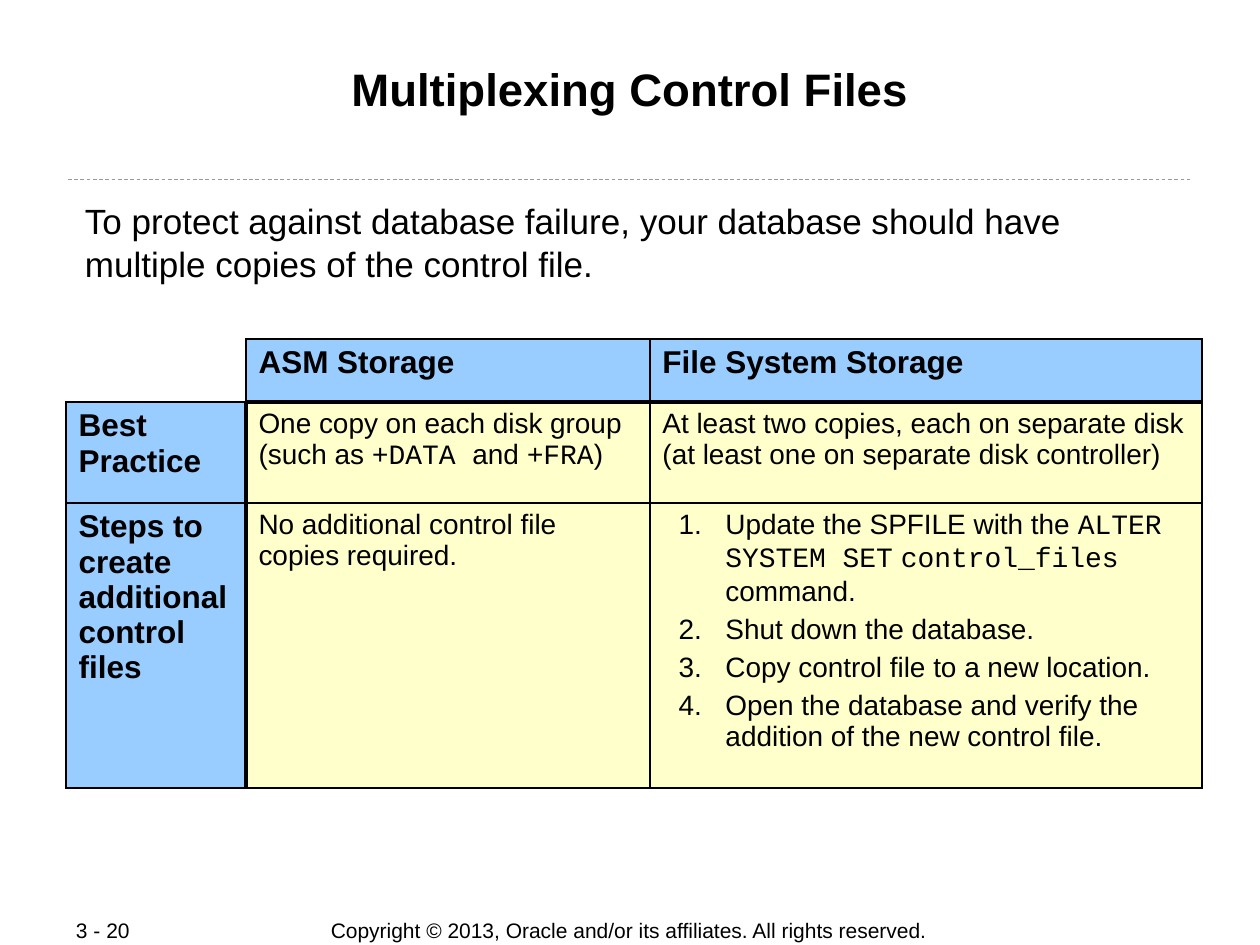
import pptx
import pptx.dml.color
import pptx.enum.dml
import pptx.enum.shapes
import pptx.enum.text
import pptx.oxml
import pptx.oxml.ns
import pptx.util

RGB = pptx.dml.color.RGBColor
ALIGN = pptx.enum.text.PP_ALIGN
ANCHOR = pptx.enum.text.MSO_ANCHOR

BLACK = RGB(0x00, 0x00, 0x00)
GRAY = RGB(0x99, 0x99, 0x99)
BLUE = RGB(0x99, 0xCC, 0xFF)
CREAM = RGB(0xFF, 0xFF, 0xCC)

SCALE = 914400 // 126  # EMU in one px
SANS, MONO = "Arial", "Courier New"
THIN, THICK = 1.08, 2.21

TITLE = "Multiplexing Control Files"
INTRO = ("To protect against database failure, your database should have "
         "multiple copies of the control file.")
NOTICE = "Copyright © 2013, Oracle and/or its affiliates. All rights reserved."
PAGE = "3 - 20"

# A cell is a list of paragraphs; a paragraph is a list of (text, font) runs.
STEPS = [
    [("Update the SPFILE with the ", SANS), ("ALTER SYSTEM SET", MONO),
     (" ", SANS), ("control_files", MONO), (" command.", SANS)],
    [("Shut down the database.", SANS)],
    [("Copy control file to a new location.", SANS)],
    [("Open the database and verify the addition of the new control file.", SANS)],
]
ROWS = [
    ["", "ASM Storage", "File System Storage"],
    ["Best Practice",
     [[("One copy on each disk group (such as ", SANS), ("+DATA ", MONO),
       ("and ", SANS), ("+FRA", MONO), (")", SANS)]],
     "At least two copies, each on separate disk "
     "(at least one on separate disk controller)"],
    ["Steps to create additional control files",
     "No additional control file copies required.",
     [[(f"{num}.\t", SANS)] + step for num, step in enumerate(STEPS, 1)]],
]
WIDTHS = (180, 404, 552)
HEIGHTS = (63, 101, 285)


def px(*nums):
    return [pptx.util.Emu(num * SCALE) for num in nums]


def fill_text(frame, body, size, bold=False, align=ALIGN.LEFT):
    paras = [[(body, SANS)]] if isinstance(body, str) else body
    for pos, runs in enumerate(paras):
        para = frame.add_paragraph() if pos else frame.paragraphs[0]
        para.alignment = align
        para.space_before = pptx.util.Pt(4 if pos else 0)
        if len(paras) > 1:
            hang(para)
        for text, face in runs:
            run = para.add_run()
            run.text = text
            look = {"name": face, "size": pptx.util.Pt(size), "bold": bold}
            for key, val in look.items():
                setattr(run.font, key, val)
            run.font.color.rgb = BLACK


def hang(para):
    """Indent a numbered step and let its tab stop at the text edge."""
    props = para._p.get_or_add_pPr()
    left, back = px(63, -47)
    props.set("marL", str(left))
    props.set("indent", str(back))
    space = pptx.oxml.ns.nsdecls("a")
    props.append(pptx.oxml.parse_xml(
        f'<a:tabLst {space}><a:tab pos="0" algn="l"/></a:tabLst>'))


def set_frame(frame, inset, wrap, anchor):
    side, edge = px(*inset)
    form = {"margin_left": side, "margin_right": side,
            "margin_top": edge, "margin_bottom": edge,
            "word_wrap": wrap, "vertical_anchor": anchor,
            "auto_size": pptx.enum.text.MSO_AUTO_SIZE.NONE}
    for key, val in form.items():
        setattr(frame, key, val)


def add_text(slide, box, body, size, inset, wrap, anchor, align=ALIGN.LEFT):
    frame = slide.shapes.add_textbox(*px(*box)).text_frame
    set_frame(frame, inset, wrap, anchor)
    fill_text(frame, body, size, align=align)


def edge_width(row, col, side):
    """Thick lines part the headings from the body; the corner is open."""
    if row == col == 0 and side in "LT":
        return 0
    below = col > 0 and (row, side) in ((0, "B"), (1, "T"))
    beside = row > 0 and (col, side) in ((0, "R"), (1, "L"))
    return THICK if below or beside else THIN


def add_edges(cell, row, col):
    props = cell._tc.get_or_add_tcPr()
    space = pptx.oxml.ns.nsdecls("a")
    for pos, side in enumerate("LRTB"):
        width = edge_width(row, col, side)
        paint = (f'<a:solidFill><a:srgbClr val="{BLACK}"/></a:solidFill>'
                 if width else "<a:noFill/>")
        props.insert(pos, pptx.oxml.parse_xml(
            f'<a:ln{side} {space} w="{pptx.util.Pt(width)}">{paint}</a:ln{side}>'))


def add_grid(slide):
    box = px(66, 339, sum(WIDTHS), sum(HEIGHTS))
    table = slide.shapes.add_table(len(ROWS), len(WIDTHS), *box).table
    table.first_row = table.horz_banding = False
    for col, width in zip(table.columns, px(*WIDTHS)):
        col.width = width
    for row, height in zip(table.rows, px(*HEIGHTS)):
        row.height = height
    for row, line in enumerate(ROWS):
        for col, body in enumerate(line):
            cell = table.cell(row, col)
            head = row == 0 or col == 0
            if body:
                cell.fill.solid()
                cell.fill.fore_color.rgb = BLUE if head else CREAM
                fill_text(cell.text_frame, body, 18 if head else 16, head)
            else:
                cell.fill.background()
            add_edges(cell, row, col)


def add_rule(slide):
    rule = slide.shapes.add_connector(
        pptx.enum.shapes.MSO_CONNECTOR.STRAIGHT, *px(68, 179, 1192, 179))
    rule.line.color.rgb = GRAY
    rule.line.width = pptx.util.Pt(0.5)
    rule.line.dash_style = pptx.enum.dml.MSO_LINE.DASH
    space = pptx.oxml.ns.nsdecls("a")
    rule._element.spPr.append(pptx.oxml.parse_xml(f"<a:effectLst {space}/>"))


def main():
    deck = pptx.Presentation()
    deck.slide_width, deck.slide_height = px(1260, 945)
    slide = deck.slides.add_slide(deck.slide_layouts[5])

    title = slide.shapes.title
    title.left, title.top, title.width, title.height = px(84, 60, 1092, 121)
    set_frame(title.text_frame, (1, 1), True, ANCHOR.TOP)
    fill_text(title.text_frame, TITLE, 26, True, ALIGN.CENTER)

    add_rule(slide)
    add_text(slide, (84, 199, 1079, 87), INTRO, 20, (1, 1), True, ANCHOR.TOP)
    add_grid(slide)
    add_text(slide, (346, 917, 566, 27), NOTICE, 12, (13, 6), False,
             ANCHOR.MIDDLE, ALIGN.CENTER)
    add_text(slide, (63, 917, 134, 26), PAGE, 12, (13, 6), False, ANCHOR.MIDDLE)
    deck.save("out.pptx")


if __name__ == "__main__":
    main()
